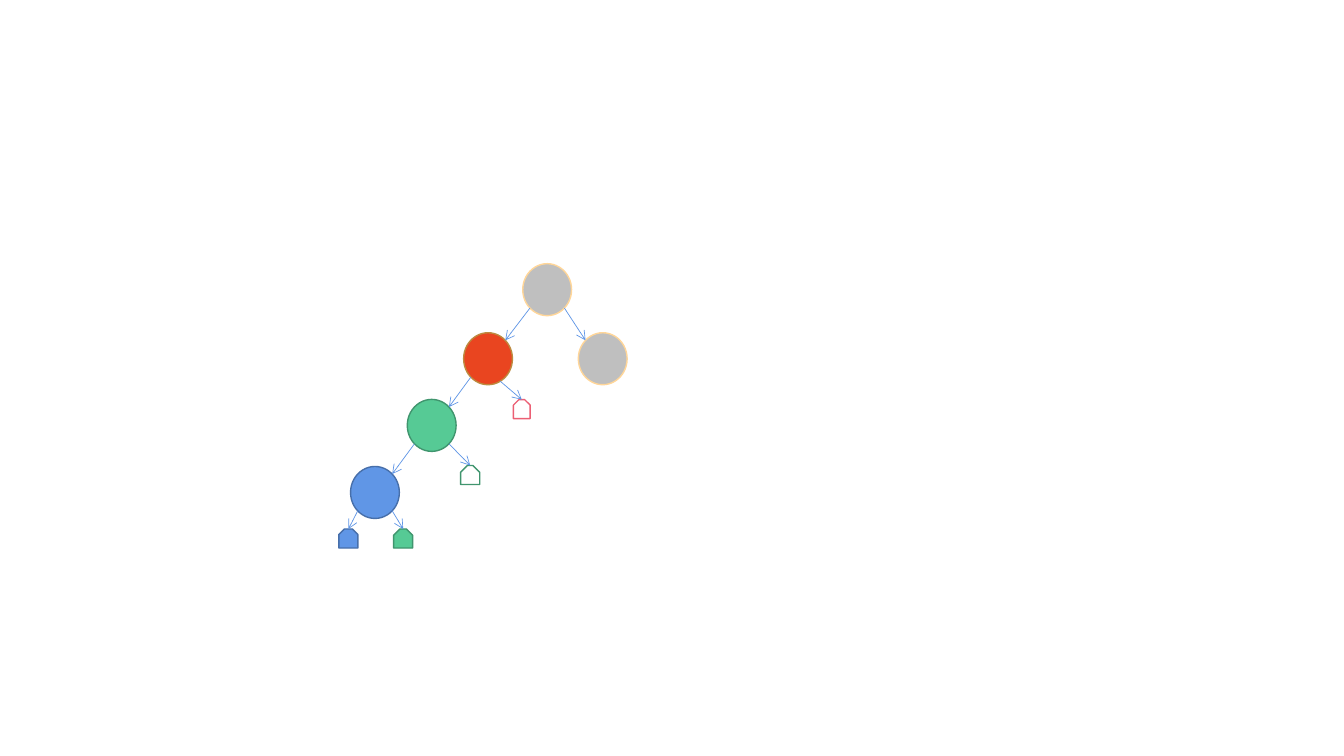
from dataclasses import dataclass
from math import cos, radians, sin

from lxml.etree import SubElement
from pptx import Presentation
from pptx.dml.color import RGBColor
from pptx.enum.shapes import MSO_CONNECTOR, MSO_SHAPE
from pptx.oxml.ns import qn
from pptx.util import Cm, Pt


@dataclass(frozen=True)
class Theme:
    gray: str = "BFBFBF"
    cream: str = "FFD699"
    red: str = "E94520"
    brown: str = "BD8A3F"
    pink: str = "EC5F74"
    green: str = "56CA95"
    dark_green: str = "40956E"
    blue: str = "6096E6"
    dark_blue: str = "476FAA"
    white: str = "FFFFFF"
    outline: float = 1
    edge: float = 0.5


T = Theme()
NODE_W, NODE_H = 1.23, 1.31

NODES = {
    "root": (5.26, 0.65, T.gray, T.cream),
    "right": (6.66, 2.39, T.gray, T.cream),
    "red": (3.77, 2.39, T.red, T.brown),
    "green": (2.35, 4.07, T.green, T.dark_green),
    "blue": (0.92, 5.76, T.blue, T.dark_blue),
}
LEAVES = {
    "red leaf": (4.62, 3.42, 0.42, 0.33, T.white, T.pink),
    "open leaf": (3.32, 5.08, 0.48, 0.36, T.white, T.dark_green),
    "green leaf": (1.63, 6.68, 0.48, 0.33, T.green, T.dark_green),
    "blue leaf": (0.25, 6.68, 0.48, 0.29, T.blue, T.dark_blue),
}
LEAF_H = 0.48
EDGES = [
    ("root", "red", 45),
    ("root", "right", 45),
    ("red", "green", 45),
    ("red", "red leaf", 60),
    ("green", "blue", 45),
    ("green", "open leaf", 45),
    ("blue", "blue leaf", 45),
    ("blue", "green leaf", 45),
]


def set_line(line, color, width):
    line.color.rgb = RGBColor.from_string(color)
    line.width = Pt(width)


def add_filled(s, kind, box, fill, color):
    sp = s.shapes.add_shape(kind, *map(Cm, box))
    sp.shadow.inherit = False
    sp.fill.solid()
    sp.fill.fore_color.rgb = RGBColor.from_string(fill)
    set_line(sp.line, color, T.outline)
    return sp


def add_arrow(s, start, end):
    c = s.shapes.add_connector(MSO_CONNECTOR.STRAIGHT, *map(Cm, start + end))
    set_line(c.line, T.blue, T.edge)
    properties = c._element.spPr
    SubElement(properties.find(qn("a:ln")), qn("a:tailEnd"), type="arrow")
    SubElement(properties, qn("a:effectLst"))


def rim_point(node, degrees, side, down):
    x, y = NODES[node][:2]
    a = radians(degrees)
    return x + side * NODE_W / 2 * cos(a), y + down * NODE_H / 2 * sin(a)


def add_tree(s, left, top):
    for x, y, fill, color in NODES.values():
        box = (left + x - NODE_W / 2, top + y - NODE_H / 2, NODE_W, NODE_H)
        add_filled(s, MSO_SHAPE.OVAL, box, fill, color)
    for x, y, w, snip, fill, color in LEAVES.values():
        box = (left + x - w / 2, top + y, w, LEAF_H)
        sp = add_filled(s, MSO_SHAPE.SNIP_2_SAME_RECTANGLE, box, fill, color)
        sp.adjustments[0] = snip
    for parent, child, degrees in EDGES:
        target = NODES.get(child) or LEAVES[child]
        side = 1 if target[0] > NODES[parent][0] else -1
        start = rim_point(parent, degrees, side, 1)
        end = rim_point(child, 45, -side, -1) if child in NODES else target[:2]
        add_arrow(s, *((left + x, top + y) for x, y in (start, end)))


prs = Presentation()
for key, value in {"slide_width": Cm(33.87), "slide_height": Cm(19.05)}.items():
    setattr(prs, key, value)
s = prs.slides.add_slide(prs.slide_layouts[6])
add_tree(s, 8.53, 6.65)
prs.save("out.pptx")
